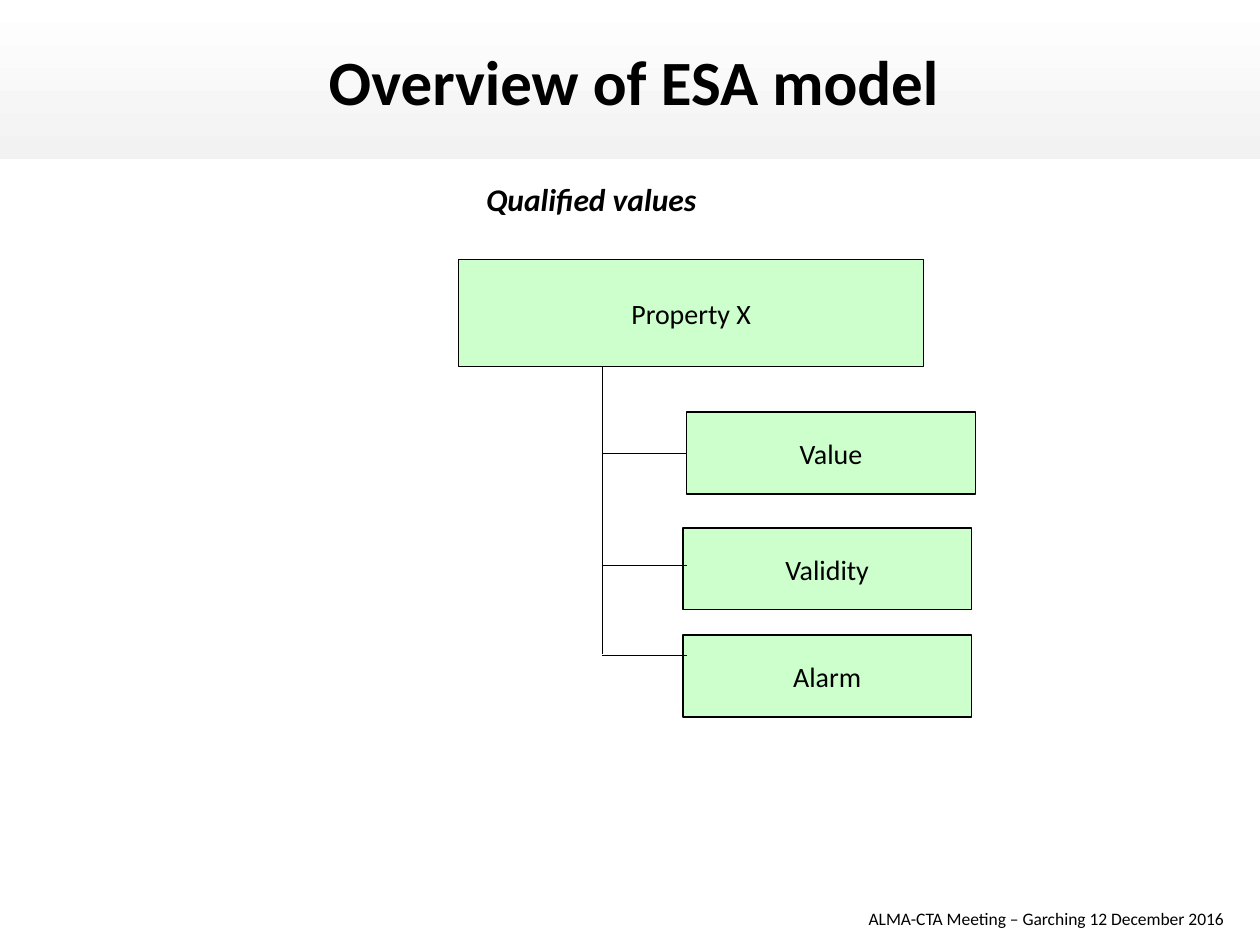
from lxml import etree
from pptx import Presentation, util as u
from pptx.dml.color import RGBColor
from pptx.enum import shapes, text
from pptx.oxml.ns import qn

BLACK = "000000"
GREEN = "CCFFCC"


def color(value):
    """Turn a hex string into a colour."""
    return RGBColor.from_string(value)


def place(item, box):
    """Move an item to a box of left, top, width and height in inches."""
    item.left, item.top, item.width, item.height = map(u.Inches, box)


def write(frame, words, size, align, bold=False, italic=False):
    """Write one formatted run in a text frame."""
    para = frame.paragraphs[0]
    para.alignment = align
    span = para.add_run()
    span.text = words
    span.font.name = "Calibri"
    span.font.size = u.Pt(size)
    span.font.bold = bold
    span.font.italic = italic
    span.font.color.rgb = color(BLACK)


def add_label(page, box, words, size, align, **style):
    """Add a text box with one line of text."""
    label = page.shapes.add_textbox(*map(u.Inches, box))
    label.text_frame.word_wrap = True
    write(label.text_frame, words, size, align, **style)


def add_header(page, box):
    """Add the shaded band and the title on it."""
    left, top, width, height = box
    band = page.shapes.add_shape(shapes.MSO_SHAPE.RECTANGLE, *map(u.Inches, box))
    band.shadow.inherit = False
    band.line.fill.background()
    band.fill.gradient()
    band.fill.gradient_angle = 90
    for stop, shade, position in zip(band.fill.gradient_stops, ("F2F2F2", "FFFFFF"), (0, 1)):
        stop.color.rgb = color(shade)
        stop.position = position
    title = page.shapes.title
    place(title, (left + 1.06, top + 0.29, width - 2.06, height - 0.39))
    title.text_frame.vertical_anchor = text.MSO_ANCHOR.TOP
    write(title.text_frame, "Overview of ESA model", 36, text.PP_ALIGN.CENTER, bold=True)
    title.element.getparent().append(title.element)


def add_node(group, box, words):
    """Add a green box of the tree."""
    node = group.shapes.add_shape(shapes.MSO_SHAPE.RECTANGLE, *map(u.Inches, box))
    node.shadow.inherit = False
    node.fill.solid()
    node.fill.fore_color.rgb = color(GREEN)
    node.line.color.rgb = color(BLACK)
    node.line.width = u.Pt(0.75)
    node.text_frame.word_wrap = False
    node.text_frame.vertical_anchor = text.MSO_ANCHOR.MIDDLE
    write(node.text_frame, words, 16, text.PP_ALIGN.CENTER)


def add_line(group, start, end):
    """Add a thin black line between two points in inches."""
    line = group.shapes.add_connector(
        shapes.MSO_CONNECTOR.STRAIGHT, *map(u.Inches, start + end))
    line.line.color.rgb = color(BLACK)
    line.line.width = u.Pt(0.75)
    etree.SubElement(line.element.spPr, qn("a:effectLst"))


def add_tree(page, box):
    """Add the property and its three qualified parts."""
    left, top, width, height = box
    group = page.shapes.add_group_shape()
    trunk = left + 1.14
    root_height = 0.85
    add_node(group, (left, top, 3.69, root_height), "Property X")
    add_line(group, (trunk, top + root_height), (trunk, top + 3.13))
    branches = [("Value", 1.81, 1.21, 1.54),
                ("Validity", 1.78, 2.13, 2.43),
                ("Alarm", 1.78, height - 0.65, 3.14)]
    for words, indent, drop, joint in branches:
        add_node(group, (left + indent, top + drop, 2.29, 0.65), words)
        add_line(group, (left + 1.81, top + joint), (trunk, top + joint))


def main():
    """Build the slide and save it."""
    deck = Presentation()
    deck.slide_width, deck.slide_height = u.Inches(10), u.Inches(7.5)
    page = deck.slides.add_slide(deck.slide_layouts[5])
    add_header(page, (0, 0, 10, 1.26))
    add_tree(page, (3.64, 2.06, 4.1, 3.63))
    add_label(page, (3.76, 1.38, 2.45, 0.4), "Qualified values", 18,
              text.PP_ALIGN.LEFT, bold=True, italic=True)
    add_label(page, (0.24, 7.16, 9.57, 0.27),
              "ALMA-CTA Meeting – Garching 12 December 2016", 10, text.PP_ALIGN.RIGHT)
    deck.save("out.pptx")


if __name__ == "__main__":
    main()
